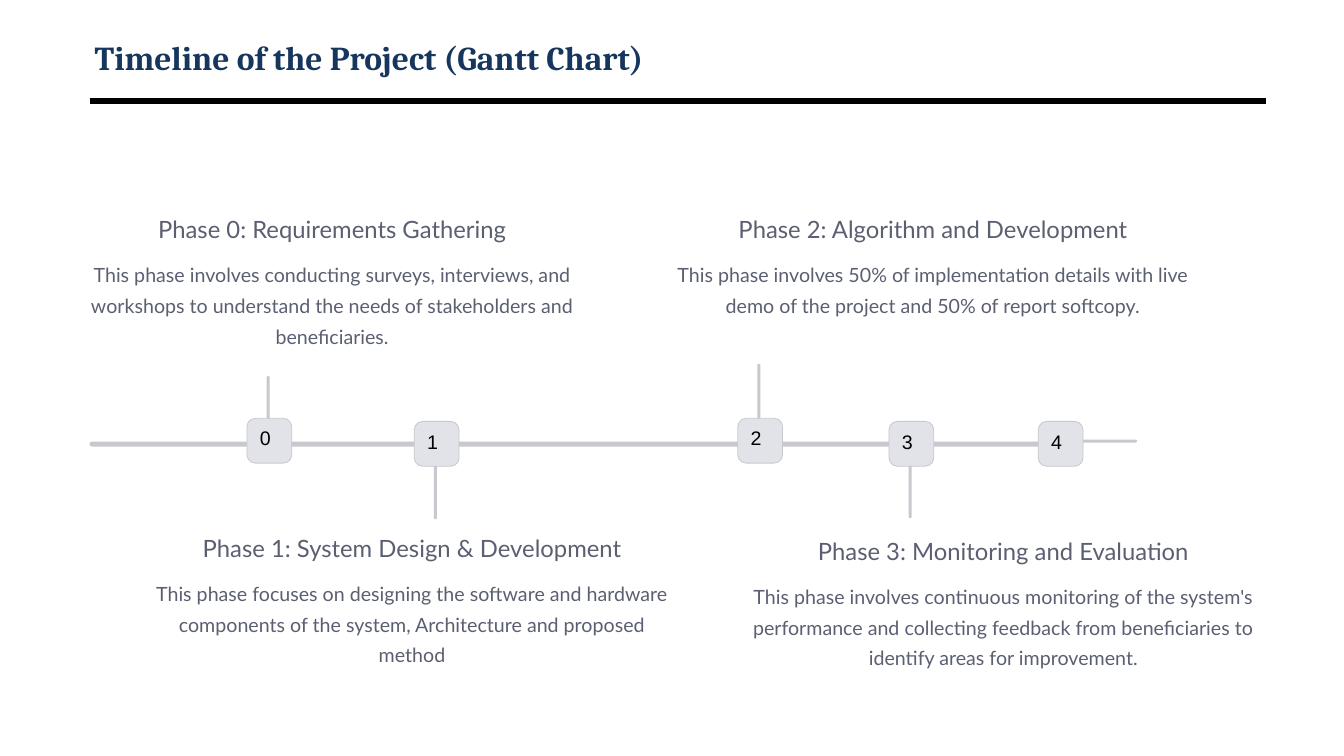
from lxml.etree import SubElement
from pptx import Presentation
from pptx.dml.color import RGBColor
from pptx.enum.shapes import MSO_CONNECTOR, MSO_SHAPE
from pptx.enum.text import MSO_ANCHOR, MSO_AUTO_SIZE, PP_ALIGN
from pptx.oxml.ns import qn
from pptx.util import Pt

COLORS = {"title": "17365D", "text": "5B5F71", "rail": "C8C9CF",
          "marker": "E2E3E9", "black": "000000"}

# Box left, box top, heading width, heading, description
BODY_WIDTH = 384
PHASES = [
    (45.3, 151.9, 257.8, "Phase 0: Requirements Gathering",
     "This phase involves conducting surveys, interviews, and workshops to "
     "understand the needs of stakeholders and beneficiaries."),
    (102.3, 379.4, 308.2, "Phase 1: System Design & Development",
     "This phase focuses on designing the software and hardware components "
     "of the system, Architecture and proposed method"),
    (474.4, 151.9, 281.5, "Phase 2: Algorithm and Development",
     "This phase involves 50% of implementation details with live demo of "
     "the project and 50% of report softcopy."),
    (524.7, 381.6, 269.3, "Phase 3: Monitoring and Evaluation",
     "This phase involves continuous monitoring of the system's performance "
     "and collecting feedback from beneficiaries to identify areas for "
     "improvement."),
]

# Marker left, marker top, stem top (None for the last marker)
MARKER_SIZE = 32
MILESTONES = [(176.4, 298.8, 268.6), (295.9, 301, 321.1), (527, 298.8, 259.9),
              (635, 301, 320.4), (741.6, 301, None)]
STEM_LENGTH, STEM_WIDTH = 49.7, 2.2


def rgb(name):
    return RGBColor.from_string(COLORS[name])


def style(paragraph, font_name, size, color):
    paragraph.font.name = font_name
    paragraph.font.size = Pt(size)
    paragraph.font.color.rgb = rgb(color)


def rounded(slide, left, top, width, height, fill, radius=0.5):
    bar = slide.shapes.add_shape(MSO_SHAPE.ROUNDED_RECTANGLE, Pt(left), Pt(top),
                                 Pt(width), Pt(height))
    bar.adjustments[0] = radius
    bar.shadow.inherit = False
    bar.fill.solid()
    bar.fill.fore_color.rgb = rgb(fill)
    bar.line.fill.background()
    return bar


def label(slide, left, top, width, height, text, inset=0, wrap=True):
    box = slide.shapes.add_textbox(Pt(left), Pt(top), Pt(width), Pt(height))
    frame = box.text_frame
    frame.margin_left = frame.margin_right = Pt(inset)
    frame.margin_top = frame.margin_bottom = Pt(inset)
    frame.word_wrap = wrap
    frame.auto_size = MSO_AUTO_SIZE.SHAPE_TO_FIT_TEXT
    frame.text = text
    return frame.paragraphs[0]


def add_header(slide, left, top, width, height):
    # Title
    title = slide.shapes.title
    title.left, title.top = Pt(left), Pt(top)
    title.width, title.height = Pt(width), Pt(height)
    frame = title.text_frame
    frame.text = "Timeline of the Project (Gantt Chart)"
    frame.margin_left = frame.margin_right = Pt(3.6)
    frame.margin_top = frame.margin_bottom = Pt(3.6)
    frame.vertical_anchor = MSO_ANCHOR.MIDDLE
    heading = frame.paragraphs[0]
    heading.alignment = PP_ALIGN.LEFT
    style(heading, "Cambria", 23.9, "title")
    heading.font.bold = True

    # Rule below the title
    rule_y = Pt(top + height + 12.2)
    rule = slide.shapes.add_connector(MSO_CONNECTOR.STRAIGHT, Pt(left), rule_y,
                                      Pt(left + width), rule_y)
    rule.line.color.rgb = rgb("black")
    rule.line.width = Pt(4.5)
    SubElement(rule._element.spPr, qn("a:effectLst"))


def add_phase(slide, left, top, heading_width, heading, description):
    heading_left = left + (BODY_WIDTH - heading_width) / 2
    name = label(slide, heading_left, top, heading_width, 22, heading, wrap=False)
    body = label(slide, left, top + 30.9, BODY_WIDTH, 65, description)
    for paragraph, size in ((name, 17), (body, 14)):
        paragraph.alignment = PP_ALIGN.CENTER
        paragraph.line_spacing = Pt(22)
        style(paragraph, "Lato", size, "text")


def add_marker(slide, left, top, number):
    marker = rounded(slide, left, top, MARKER_SIZE, MARKER_SIZE, "marker", 0.187)
    marker.line.color.rgb = rgb("rail")
    marker.line.width = Pt(0.6)
    digit = label(slide, left + 5.6, top + 2.2, 20.9, 23, str(number), inset=3.6)
    style(digit, "Arial", 14, "black")


def add_timeline(slide, left, top, width, height):
    # Stems and the tail on the right, behind the axis
    for marker_left, _, stem_top in MILESTONES:
        if stem_top is not None:
            rounded(slide, marker_left + 14, stem_top, STEM_WIDTH, STEM_LENGTH, "rail")
    rounded(slide, left + width + 9.4, top - 1.4, STEM_LENGTH, STEM_WIDTH, "rail")

    # Axis and numbered markers
    rounded(slide, left, top, width, height, "rail")
    for number, (marker_left, marker_top, _) in enumerate(MILESTONES):
        add_marker(slide, marker_left, marker_top, number)


def main():
    deck = Presentation()
    deck.slide_width, deck.slide_height = Pt(960), Pt(540)
    slide = deck.slides.add_slide(deck.slide_layouts[5])
    add_header(slide, 64, 21.6, 840.2, 38.2)
    for phase in PHASES:
        add_phase(slide, *phase)
    add_timeline(slide, 64, 315.4, 689, 3.6)
    deck.save("out.pptx")


if __name__ == "__main__":
    main()
